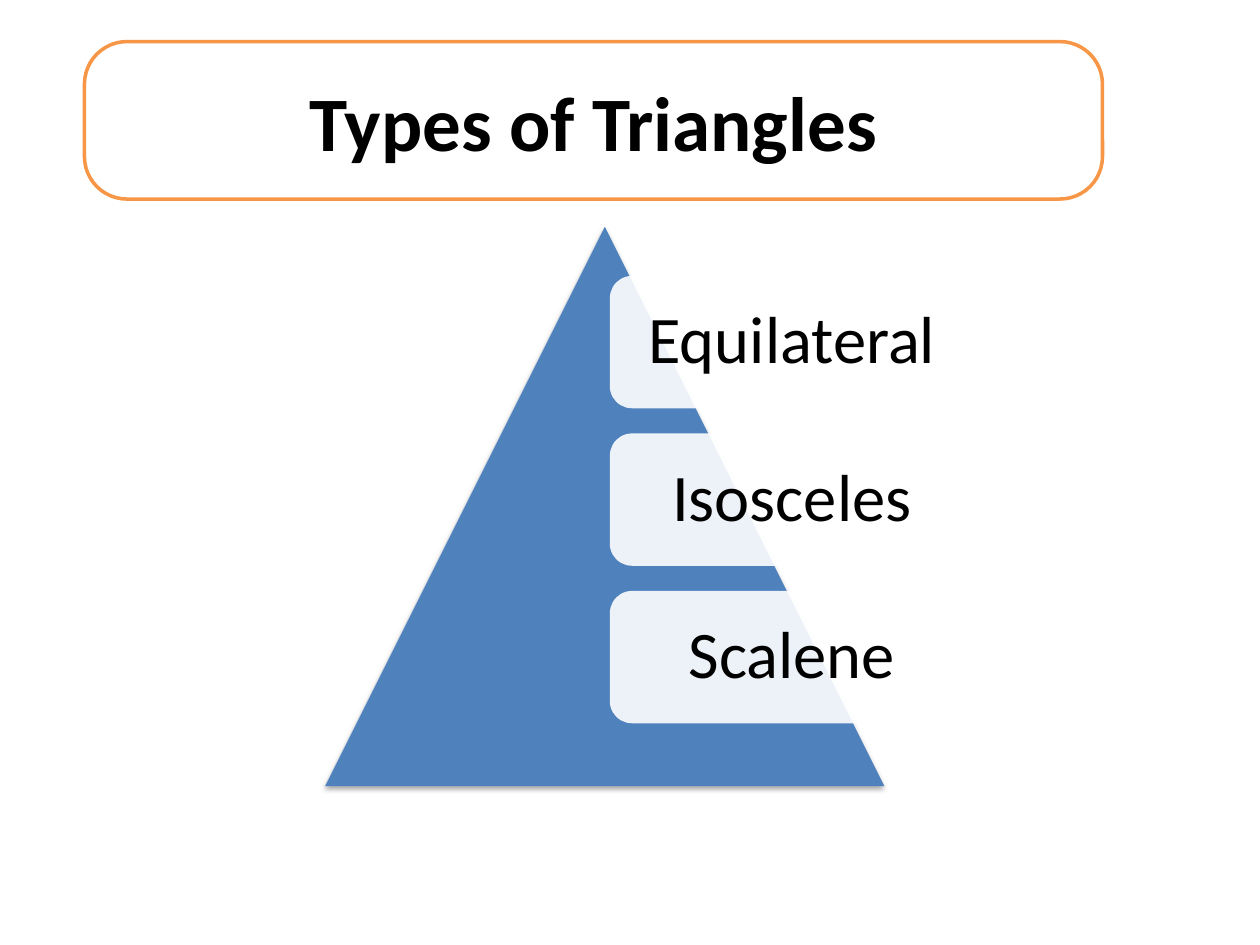
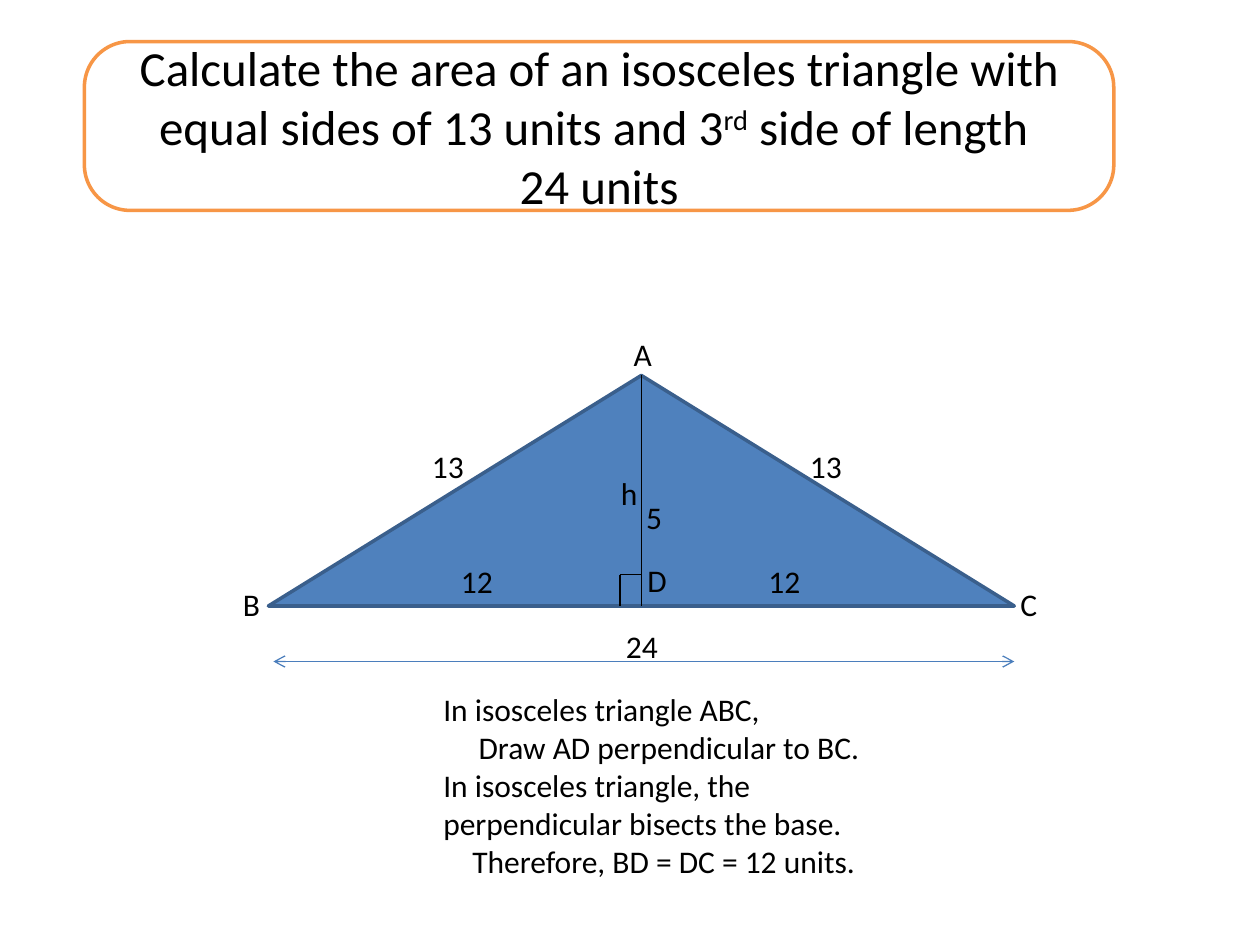
from pptx import Presentation
from pptx.dml.color import RGBColor
from pptx.enum.shapes import MSO_CONNECTOR, MSO_SHAPE as SHAPE
from pptx.enum.text import MSO_ANCHOR as ANCHOR, PP_ALIGN as ALIGN
from pptx.oxml.ns import qn
from pptx.util import Inches, Pt
from lxml.etree import SubElement

# Shared look
FONT = "Calibri"
BLACK, WHITE = "000000", "FFFFFF"
BLUE, DARK_BLUE, ARROW_BLUE = "4F81BD", "3A5F8C", "4B7EBC"
ORANGE = "F79646"


def rgb(value):
    return RGBColor.from_string(value)


def add_shape(s, kind, x, y, w, h, fill, line=None):
    sp = s.shapes.add_shape(kind, Inches(x), Inches(y), Inches(w), Inches(h))
    sp.shadow.inherit = False
    sp.fill.solid()
    sp.fill.fore_color.rgb = rgb(fill)
    if line:
        sp.line.color.rgb = rgb(line)
        sp.line.width = Pt(2)
    else:
        sp.line.fill.background()
    return sp


def style(p, size, align=ALIGN.LEFT, bold=False):
    p.alignment = align
    p.font.name = FONT
    p.font.size = Pt(size)
    p.font.bold = bold
    p.font.color.rgb = rgb(BLACK)


def add_title(s, w, h, lines, size, bold=False):
    """Outlined title box; each line is a list of (text, is_superscript)."""
    sp = add_shape(s, SHAPE.ROUNDED_RECTANGLE, 0.67, 0.33, w, h, WHITE, ORANGE)
    sp.adjustments[0] = 0.27
    tf = sp.text_frame
    tf.word_wrap = True
    tf.vertical_anchor = ANCHOR.MIDDLE
    for i, parts in enumerate(lines):
        p = tf.add_paragraph() if i else tf.paragraphs[0]
        style(p, size, ALIGN.CENTER, bold)
        for text, raised in parts:
            r = p.add_run()
            r.text = text
            if raised:
                r.font._element.set("baseline", "30000")


def add_text(s, x, y, w, h, lines):
    """Plain 18 pt text; each line is (text, left indent in inches)."""
    tf = s.shapes.add_textbox(Inches(x), Inches(y), Inches(w), Inches(h)).text_frame
    tf.word_wrap = True
    for i, (text, indent) in enumerate(lines):
        p = tf.add_paragraph() if i else tf.paragraphs[0]
        p.text = text
        style(p, 18)
        if indent:
            p._p.get_or_add_pPr().set("marL", str(Inches(indent)))


def add_line(s, x1, y1, x2, y2, color=BLACK, arrows=False):
    c = s.shapes.add_connector(MSO_CONNECTOR.STRAIGHT, Inches(x1), Inches(y1),
                               Inches(x2), Inches(y2))
    c.line.color.rgb = rgb(color)
    c.line.width = Pt(0.75)
    if arrows:
        ln = c.line._get_or_add_ln()
        for end in ("a:headEnd", "a:tailEnd"):
            SubElement(ln, qn(end), type="arrow")
    SubElement(c._element.spPr, qn("a:effectLst"))
    return c


def add_soft_shadow(sp):
    effects = sp._element.spPr.find(qn("a:effectLst"))
    shadow = SubElement(effects, qn("a:outerShdw"), blurRad=str(Pt(3.1)),
                        dist=str(Pt(1.8)), dir="5400000", rotWithShape="0")
    color = SubElement(shadow, qn("a:srgbClr"), val=BLACK)
    SubElement(color, qn("a:alpha"), val="35000")


def add_card(s, y, text):
    sp = add_shape(s, SHAPE.ROUNDED_RECTANGLE, 4.84, y, 2.89, 1.05, WHITE)
    color = sp._element.spPr.find(qn("a:solidFill")).find(qn("a:srgbClr"))
    SubElement(color, qn("a:alpha"), val="90000")
    tf = sp.text_frame
    tf.word_wrap = True
    tf.vertical_anchor = ANCHOR.MIDDLE
    tf.margin_left = tf.margin_right = Inches(0.16)
    tf.margin_top = tf.margin_bottom = Inches(0.16)
    p = tf.paragraphs[0]
    p.text = text
    style(p, 38, ALIGN.CENTER)
    p.line_spacing = 0.9


def build_types(s):
    add_title(s, 8.08, 1.25, [[("Types of Triangles", False)]], 44, bold=True)
    pyramid = add_shape(s, SHAPE.ISOSCELES_TRIANGLE, 2.58, 1.8, 4.44, 4.44, BLUE)
    add_soft_shadow(pyramid)
    for i, name in enumerate(("Equilateral", "Isosceles", "Scalene")):
        add_card(s, 2.19 + 1.25 * i, name)


def build_area(s):
    # Triangle ABC with its altitude and right-angle mark at D
    left, top, width, height = 2.13, 2.98, 5.92, 1.83
    mid, base = left + width / 2, top + height
    mark_x, mark_y = mid - 0.17, base - 0.25
    triangle = add_shape(s, SHAPE.ISOSCELES_TRIANGLE, left, top, width, height,
                         BLUE, DARK_BLUE)
    altitude = add_line(s, mid, top, mid, base)
    altitude.begin_connect(triangle, 0)
    add_line(s, mark_x, base, mark_x, mark_y)
    add_line(s, mark_x, mark_y, mid, mark_y)

    # Labels of points and lengths
    for text, x, y, w in (
        ("A", 4.93, 2.61, 0.5), ("B", 1.83, 4.59, 0.33),
        ("C", 8, 4.59, 0.25), ("D", 5.04, 4.4, 0.37),
        ("13", 3.33, 3.5, 0.5), ("13", 6.33, 3.5, 0.5),
        ("h", 4.83, 3.71, 0.29), ("5", 5.03, 3.9, 0.69),
        ("12", 3.56, 4.41, 0.58), ("12", 6, 4.41, 0.58),
        ("24", 4.87, 4.93, 0.5),
    ):
        add_text(s, x, y, w, 0.4, [(text, 0)])
    add_line(s, 2.17, 5.25, 8.05, 5.25, ARROW_BLUE, arrows=True)

    # Question and reasoning
    add_title(s, 8.17, 1.34, [
        [("Calculate the area of an isosceles triangle with equal sides of "
          "13 units and 3", False), ("rd", True), (" side of length ", False)],
        [("24 units", False)],
    ], 28)
    add_text(s, 3.42, 5.43, 3.58, 1.62, [
        ("In isosceles triangle ABC,", 0),
        ("Draw AD perpendicular to BC.", 0.28),
        ("In isosceles triangle, the", 0),
        ("perpendicular bisects the base.", 0),
        ("Therefore, BD = DC = 12 units.", 0.23),
    ])


def main():
    prs = Presentation()
    prs.slide_width, prs.slide_height = Inches(10), Inches(7.5)
    for build in (build_types, build_area):
        build(prs.slides.add_slide(prs.slide_layouts[6]))
    prs.save("out.pptx")


if __name__ == "__main__":
    main()
